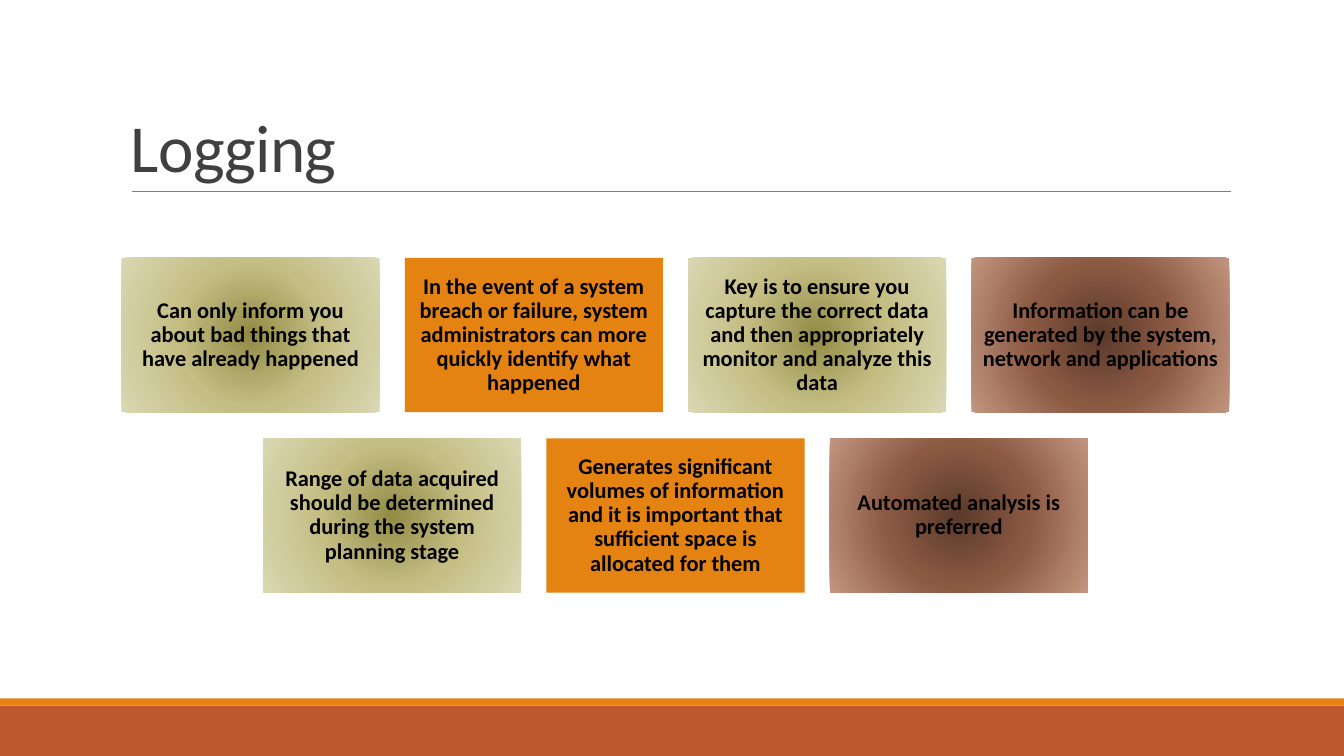
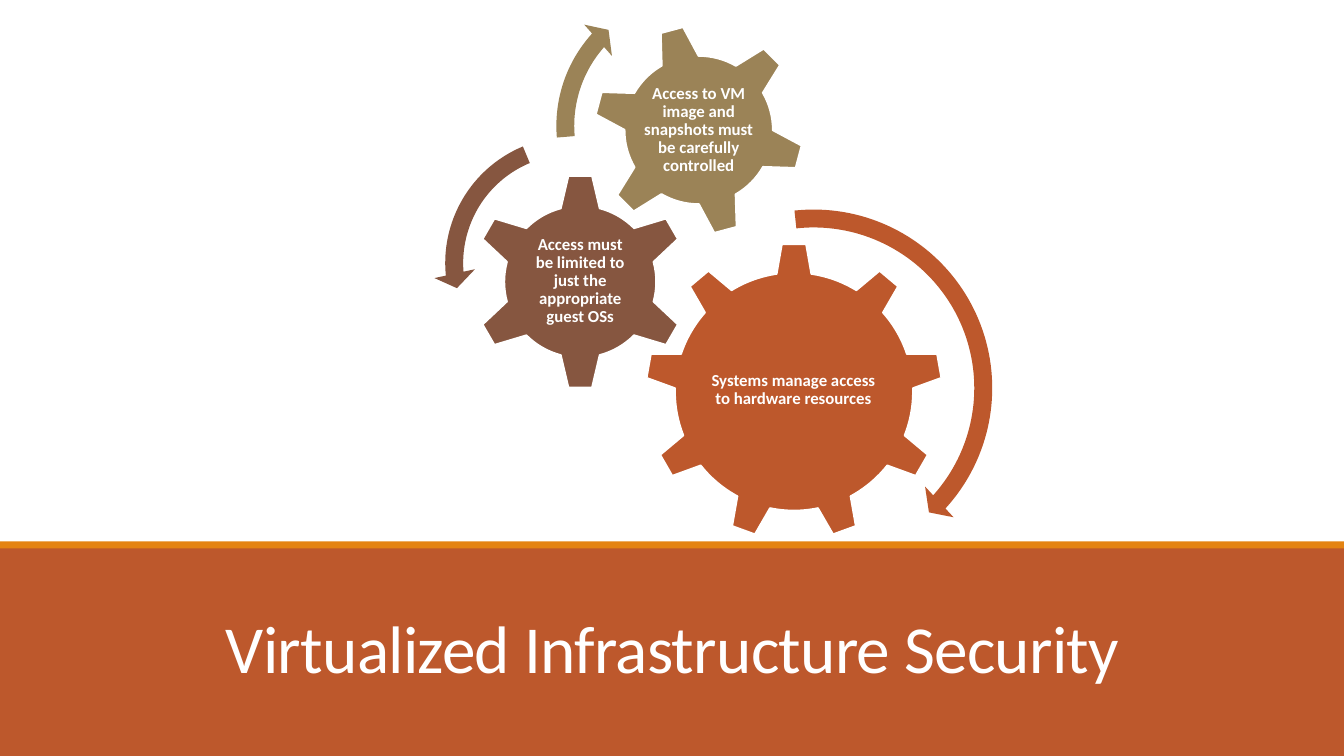
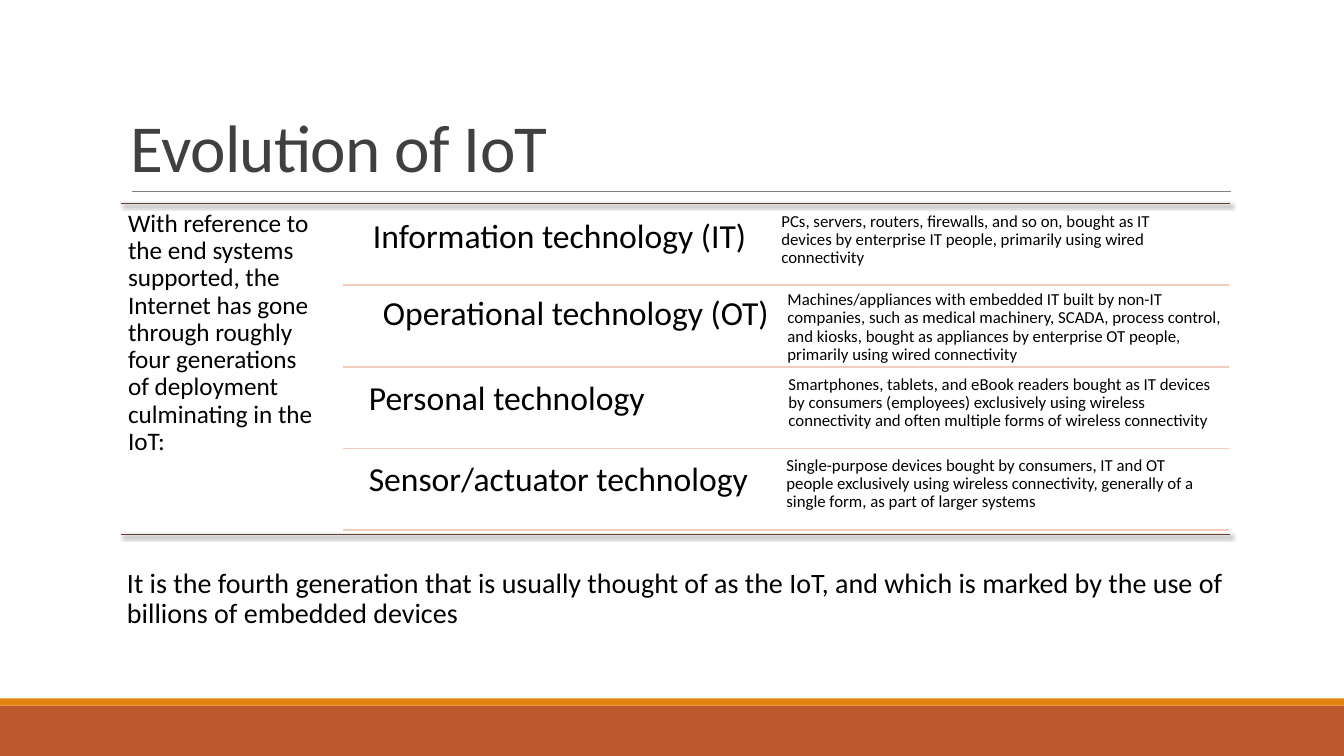
"""Builds three security slides: logging, virtualized infrastructure and IoT."""
from pptx import Presentation
from pptx.dml.color import RGBColor
from pptx.enum.shapes import MSO_CONNECTOR, MSO_SHAPE
from pptx.enum.text import MSO_ANCHOR, PP_ALIGN
from pptx.oxml import parse_xml
from pptx.oxml.ns import nsdecls, qn
from pptx.util import Inches, Pt

RECT, GEAR6, GEAR9 = MSO_SHAPE.RECTANGLE, MSO_SHAPE.GEAR_6, MSO_SHAPE.GEAR_9
CLOCKWISE, COUNTER = MSO_SHAPE.CIRCULAR_ARROW, MSO_SHAPE.LEFT_CIRCULAR_ARROW
LEFT, CENTER = PP_ALIGN.LEFT, PP_ALIGN.CENTER
TOP, MIDDLE, BOTTOM = MSO_ANCHOR.TOP, MSO_ANCHOR.MIDDLE, MSO_ANCHOR.BOTTOM
STRAIGHT = MSO_CONNECTOR.STRAIGHT

FONT = "Calibri"
RUST, ORANGE, BROWN, KHAKI = "BD582C", "E48312", "865640", "9B8357"
BLACK, WHITE, CHARCOAL = "000000", "FFFFFF", "404040"
GREY, UMBER, PINK = "808080", "654130", "F2CDBD"
OLIVE_GLOW = ("928B46", "C4BE84", "DAD7B3")
BROWN_GLOW = ("5A3A2B", "8C5A43", "C29580")


def paint(fill, color):
    """Give a shape, line or font one solid colour."""
    fill.solid()
    fill.fore_color.rgb = RGBColor.from_string(color)


def write(holder, text, size, color=BLACK, bold=False, align=LEFT, anchor=TOP,
          inset=0.07, spacing=0.9):
    """Put formatted text in a shape or text box and return its paragraph."""
    frame = holder.text_frame
    frame.word_wrap = True
    frame.vertical_anchor = anchor
    frame.margin_left = frame.margin_right = Inches(inset)
    frame.margin_top = frame.margin_bottom = Inches(inset)
    frame.text = text
    paragraph = frame.paragraphs[0]
    paragraph.alignment = align
    paragraph.line_spacing = spacing
    for run in paragraph.runs:
        run.font.name, run.font.size, run.font.bold = FONT, Pt(size), bold
        paint(run.font.fill, color)
    return paragraph


prs = Presentation()
prs.slide_width, prs.slide_height = Inches(13.33), Inches(7.5)
blank = prs.slide_layouts[6]

slides = []
for title, title_box, title_color, align, band_top, stripe_top in [
    ("Logging", (1.2, 0.31, 11, 1.59), CHARCOAL, LEFT, 7, 6.93),
    ("Virtualized Infrastructure Security", (1.17, 5.74, 11, 1.13), WHITE, CENTER, 5.42, 5.37),
    ("Evolution of IoT", (1.2, 0.31, 11, 1.59), CHARCOAL, LEFT, 7, 6.93),
]:
    slide = prs.slides.add_slide(blank)
    for top, height, color in [(band_top, 7.5 - band_top, RUST), (stripe_top, 0.07, ORANGE)]:
        band = slide.shapes.add_shape(RECT, 0, Inches(top), prs.slide_width, Inches(height))
        band.shadow.inherit = False
        band.line.fill.background()
        paint(band.fill, color)
    heading = slide.shapes.add_textbox(*map(Inches, title_box))
    paragraph = write(heading, title, 48, title_color, align=align, anchor=BOTTOM, spacing=0.85)
    heading.text_frame.margin_left = heading.text_frame.margin_right = Inches(0.1)
    heading.text_frame.margin_top = heading.text_frame.margin_bottom = Inches(0.05)
    paragraph.runs[0]._r.get_or_add_rPr().set("spc", "-50")
    slides.append(slide)
logging, virtualization, iot = slides

TILE_WIDTH, TILE_HEIGHT, TILE_GAP = 2.56, 1.53, 0.25
tile_rows = [
    [
        ("Can only inform you about bad things that have already happened", OLIVE_GLOW),
        ("In the event of a system breach or failure, system administrators can more "
         "quickly identify what happened", ORANGE),
        ("Key is to ensure you capture the correct data and then appropriately monitor "
         "and analyze this data", OLIVE_GLOW),
        ("Information can be generated by the system, network and applications", BROWN_GLOW),
    ],
    [
        ("Range of data acquired should be determined during the system planning stage",
         OLIVE_GLOW),
        ("Generates significant volumes of information and it is important that "
         "sufficient space is allocated for them", ORANGE),
        ("Automated analysis is preferred", BROWN_GLOW),
    ],
]
for row, tiles in enumerate(tile_rows):
    row_width = len(tiles) * (TILE_WIDTH + TILE_GAP) - TILE_GAP
    tile_top = 2.56 + row * (TILE_HEIGHT + TILE_GAP + 0.01)
    for column, (point, color) in enumerate(tiles):
        tile_left = 6.7 - row_width / 2 + column * (TILE_WIDTH + TILE_GAP)
        tile = logging.shapes.add_shape(RECT, Inches(tile_left), Inches(tile_top),
                                        Inches(TILE_WIDTH), Inches(TILE_HEIGHT))
        tile.shadow.inherit = False
        tile.line.fill.background()
        if color == ORANGE:
            paint(tile.fill, color)
        else:
            stops = "".join(
                f'<a:gs pos="{position}000"><a:srgbClr val="{stop}"/></a:gs>'
                for position, stop in zip((0, 48, 100), color))
            glow = parse_xml(
                f'<a:gradFill {nsdecls("a")} rotWithShape="1"><a:gsLst>{stops}</a:gsLst>'
                '<a:path path="circle"><a:fillToRect l="50000" t="50000" r="50000" b="50000"/>'
                '</a:path></a:gradFill>')
            tile._element.spPr.find(qn("a:prstGeom")).addnext(glow)
        write(tile, point, 16, bold=True, align=CENTER, anchor=MIDDLE)

for kind, left, top, size, turn, color, label_box, label in [
    (GEAR9, 6.4, 2.41, 2.95, 0, RUST, (6.99, 3.11, 1.76, 1.52),
     "Systems manage access to hardware resources"),
    (GEAR6, 4.68, 1.72, 2.15, 0, BROWN, (5.22, 2.26, 1.07, 1.06),
     "Access must be limited to just the appropriate guest OSs"),
    (GEAR6, 5.88, 0.24, 2.1, 345, KHAKI, (6.34, 0.7, 1.18, 1.18),
     "Access to VM image and snapshots must be carefully controlled"),
]:
    gear = virtualization.shapes.add_shape(kind, Inches(left), Inches(top),
                                           Inches(size), Inches(size))
    gear.shadow.inherit = False
    gear.rotation = turn
    paint(gear.fill, color)
    paint(gear.line.fill, WHITE)
    gear.line.width = Pt(1.25)
    gear_label = virtualization.shapes.add_textbox(*map(Inches, label_box))
    write(gear_label, label, 12, WHITE, True, CENTER, MIDDLE, 0.02)

for kind, left, top, size, color, thickness, head_angle, end, start, head in [
    (CLOCKWISE, 6.18, 1.96, 3.78, RUST, 4.7, 4.98, 42.18, 263.83, 5.5),
    (COUNTER, 4.3, 1.24, 2.74, BROWN, 6.5, 7.17, 174.82, 247.3, 7.5),
    (CLOCKWISE, 5.4, -0.23, 2.96, KHAKI, 6, 6.57, 221.9, 175.14, 7),
]:
    rotation_arrow = virtualization.shapes.add_shape(kind, Inches(left), Inches(top),
                                                     Inches(size), Inches(size))
    rotation_arrow.shadow.inherit = False
    rotation_arrow.line.fill.background()
    paint(rotation_arrow.fill, color)
    settings = (thickness / 100, head_angle * 0.6, end * 0.6, start * 0.6, head / 100)
    for index, setting in enumerate(settings):
        rotation_arrow.adjustments[index] = setting

for box, text, size, inset in [
    ((1.2, 2.02, 2.2, 3.28),
     "With reference to the end systems supported, the Internet has gone through roughly "
     "four generations\vof deployment culminating in the IoT:", 18, 0.07),
    ((3.6, 2.08, 3.97, 0.77), "Information technology (IT)", 24, 0.1),
    ((7.7, 2.06, 4.23, 0.77),
     "PCs, servers, routers, firewalls, and so on, bought as IT devices by enterprise IT "
     "people, primarily using wired connectivity", 12, 0.05),
    ((3.7, 2.84, 4.05, 0.77), "Operational technology (OT)", 24, 0.1),
    ((7.76, 2.84, 4.42, 0.77),
     "Machines/appliances with embedded IT built by non-IT companies, such as medical "
     "machinery, SCADA, process control, and kiosks, bought as appliances by enterprise "
     "OT people, primarily using wired connectivity", 12, 0.05),
    ((3.56, 3.68, 4.05, 0.77), "Personal technology", 24, 0.1),
    ((7.77, 3.68, 4.42, 0.77),
     "Smartphones, tablets, and eBook readers bought as IT devices by consumers "
     "(employees) exclusively using wireless connectivity and often multiple forms of "
     "wireless connectivity", 12, 0.05),
    ((3.56, 4.49, 3.97, 0.77), "Sensor/actuator technology", 24, 0.1),
    ((7.75, 4.48, 4.23, 0.77),
     "Single-purpose devices bought by consumers, IT and OT people exclusively using "
     "wireless connectivity, generally of a single form, as part of larger systems", 12, 0.05),
    ((1.2, 5.59, 11, 0.83),
     "It is the fourth generation that is usually thought of as the IoT, and which is "
     "marked by the use of billions of embedded devices", 20, 0.06),
]:
    write(iot.shapes.add_textbox(*map(Inches, box)), text, size, inset=inset)

title_rules = [(slide, 1.31, 12.21, 1.9, GREY, 0.5) for slide in (logging, iot)]
row_rules = [(iot, 3.4, 12.19, 2.83 + 0.81 * row, PINK, 1.25) for row in range(4)]
section_rules = [(iot, 1.2, 12.2, y, UMBER, 1) for y in (2.02, 5.3)]
for slide, start, end, y, color, width in title_rules + row_rules + section_rules:
    rule = slide.shapes.add_connector(STRAIGHT, Inches(start), Inches(y), Inches(end), Inches(y))
    paint(rule.line.fill, color)
    rule.line.width = Pt(width)
    shadow = ""
    if color == UMBER:
        shadow = (f'<a:outerShdw blurRad="{Pt(3)}" dist="{Pt(2)}" dir="2700000">'
                  f'<a:srgbClr val="{BLACK}"><a:alpha val="60000"/></a:srgbClr></a:outerShdw>')
    rule._element.spPr.append(
        parse_xml(f'<a:effectLst {nsdecls("a")}>{shadow}</a:effectLst>'))

prs.save("out.pptx")
